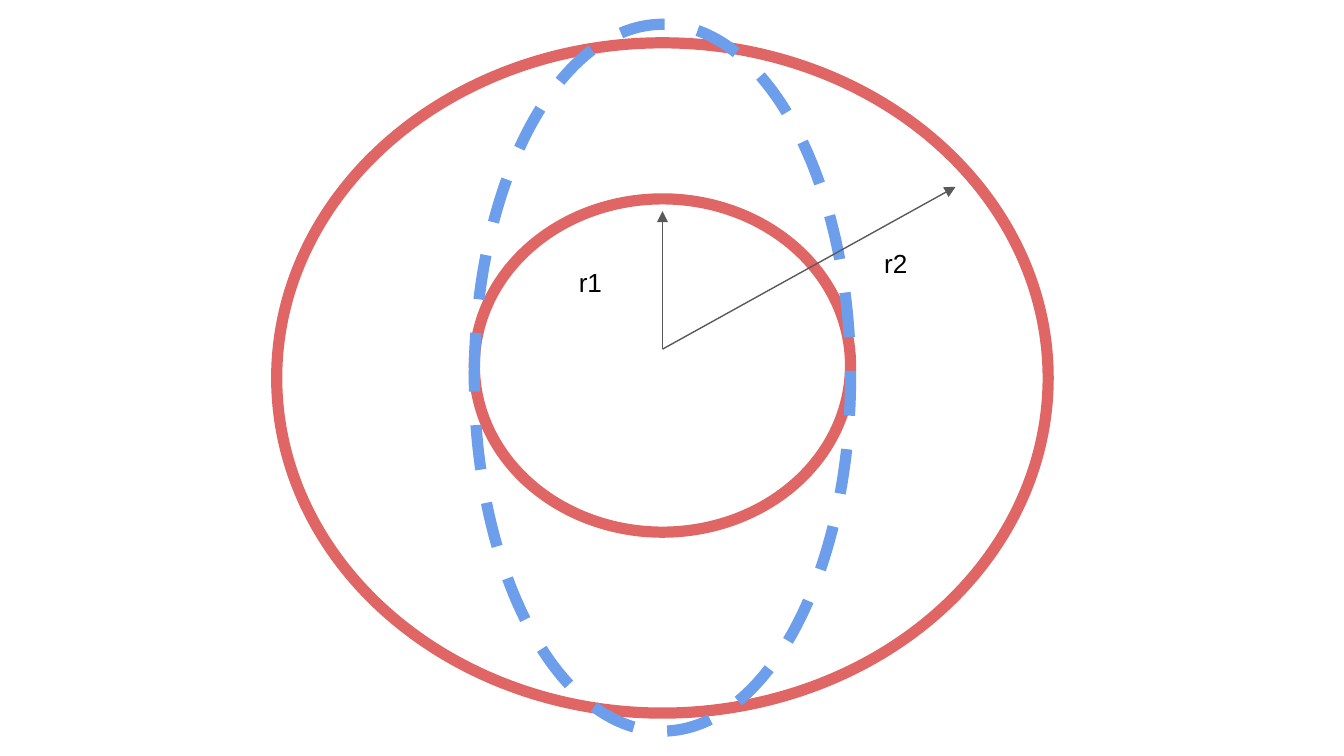
from lxml.etree import SubElement
from pptx import Presentation
from pptx.dml.color import RGBColor
from pptx.enum.dml import MSO_LINE as Dash
from pptx.enum.shapes import MSO_CONNECTOR as Link, MSO_SHAPE as Shape
from pptx.enum.text import MSO_AUTO_SIZE as Fit
from pptx.oxml.ns import qn
from pptx.util import Cm, Pt

COLORS = {"ring": "E06666", "dash": "6D9EEB", "arrow": "595959", "text": "000000"}
MID = 12.52  # shared centre line of the ellipses, in cm
START = (MID, 6.6)


def color(name):
    return RGBColor.from_string(COLORS[name])


def add_ring(slide, top, width, height, name, dash=None):
    """Add an unfilled ellipse centred on MID."""
    ring = slide.shapes.add_shape(
        Shape.OVAL, Cm(MID - width / 2), Cm(top), Cm(width), Cm(height))
    ring.shadow.inherit = False
    ring.fill.background()
    ring.line.color.rgb = color(name)
    ring.line.width = Pt(6)
    if dash:
        ring.line.dash_style = dash


def add_arrow(slide, x, y):
    """Add an arrow from START to the given point."""
    arrow = slide.shapes.add_connector(
        Link.STRAIGHT, *(Cm(v) for v in (*START, x, y)))
    arrow.line.color.rgb = color("arrow")
    arrow.line.width = Pt(0.75)
    SubElement(arrow.line._get_or_add_ln(), qn("a:tailEnd"), type="triangle")
    SubElement(arrow._element.spPr, qn("a:effectLst"))


def add_label(slide, x, y, text):
    box = slide.shapes.add_textbox(Cm(x), Cm(y), Cm(1.57), Cm(1.12))
    frame = box.text_frame
    frame.word_wrap = True
    frame.auto_size = Fit.SHAPE_TO_FIT_TEXT
    frame.margin_left = frame.margin_right = Cm(0.25)
    frame.margin_top = frame.margin_bottom = Cm(0.25)
    run = frame.paragraphs[0].add_run()
    run.text = text
    run.font.name = "Arial"
    run.font.size = Pt(14)
    run.font.color.rgb = color("text")


def main():
    deck = Presentation()
    deck.slide_width, deck.slide_height = Cm(25.4), Cm(14.29)
    slide = deck.slides.add_slide(deck.slide_layouts[6])

    add_ring(slide, 3.76, 7.11, 6.3, "ring")
    add_ring(slide, 0.81, 14.58, 12.67, "ring")
    add_ring(slide, 0.46, 7.11, 13.36, "dash", Dash.DASH)
    add_arrow(slide, MID, 3.99)
    add_arrow(slide, 18.06, 3.53)
    add_label(slide, 10.69, 4.78, "r1")
    add_label(slide, 16.46, 4.42, "r2")

    deck.save("out.pptx")


if __name__ == "__main__":
    main()
